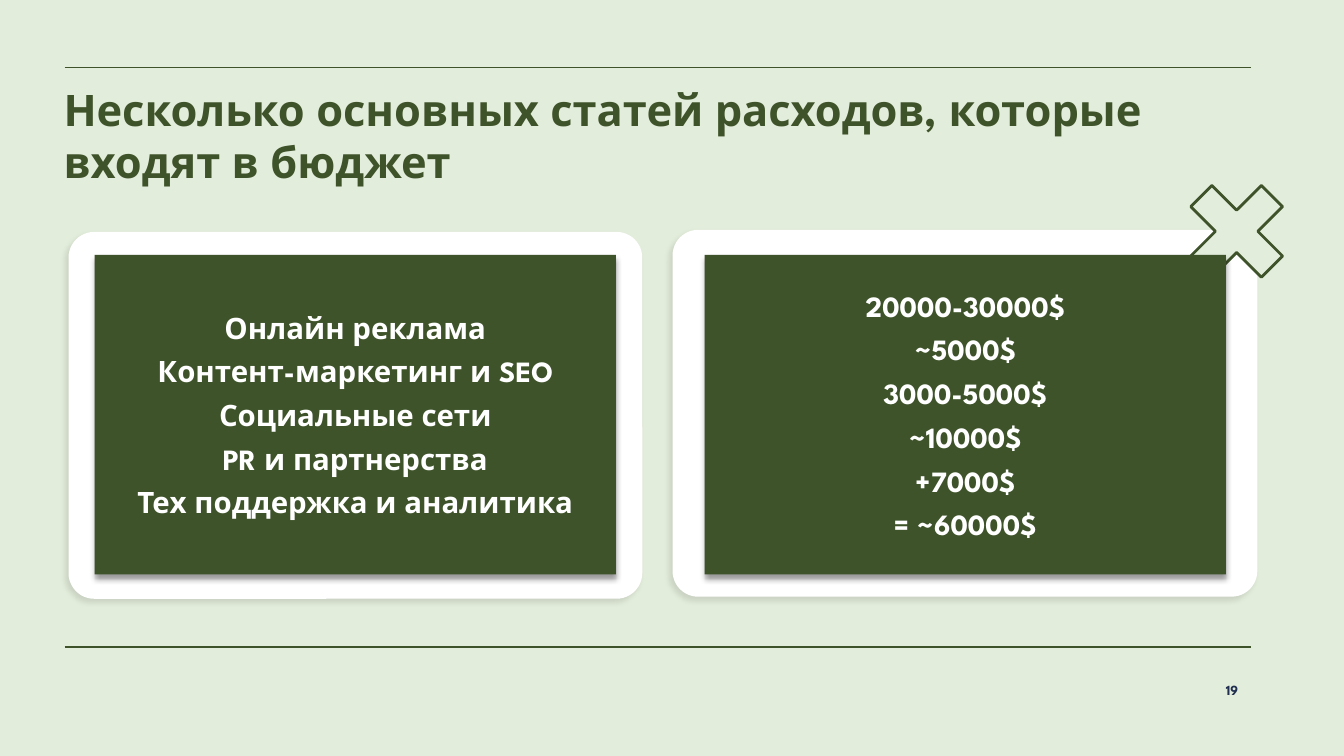
import pptx
import pptx.dml.color
import pptx.enum.shapes
import pptx.enum.text
import pptx.oxml
import pptx.oxml.ns
import pptx.oxml.xmlchemy
import pptx.util

RGBColor = pptx.dml.color.RGBColor
Shapes = pptx.enum.shapes.MSO_SHAPE
Align = pptx.enum.text.PP_ALIGN
Anchor = pptx.enum.text.MSO_ANCHOR

PALE = RGBColor(0xE3, 0xED, 0xDB)
GREEN = RGBColor(0x3E, 0x53, 0x2A)
WHITE = RGBColor(0xFF, 0xFF, 0xFF)
NAVY = RGBColor(0x21, 0x2F, 0x51)
FONT = "League Spartan"
WIDTH = pptx.util.Inches(13.33)
HEIGHT = pptx.util.Inches(7.5)

TITLE = "Несколько основных статей расходов, которые входят в бюджет"
EXPENSES = [
    "Онлайн реклама",
    "Контент-маркетинг и SEO",
    "Социальные сети",
    "PR и партнерства",
    "Тех поддержка и аналитика",
]
COSTS = ["20000-30000$", "~5000$", "3000-5000$", "~10000$", "+7000$", "= ~60000$"]


def across(percent):
    return round(WIDTH * percent / 100)


def down(percent):
    return round(HEIGHT * percent / 100)


def place(left, top, width, height):
    return across(left), down(top), across(width), down(height)


def add_block(page, kind, area, fill):
    block = page.shapes.add_shape(kind, *place(*area))
    block.shadow.inherit = False
    block.fill.solid()
    block.fill.fore_color.rgb = fill
    block.line.fill.background()
    return block


def cast_shadow(block, opacity, direction):
    effects = block._element.spPr.find(pptx.oxml.ns.qn("a:effectLst"))
    effects.append(pptx.oxml.parse_xml(
        f'<a:outerShdw {pptx.oxml.ns.nsdecls("a")} '
        f'blurRad="{pptx.util.Pt(4)}" dist="{pptx.util.Pt(3)}" '
        f'dir="{direction * 60000}" algn="ctr" rotWithShape="0">'
        f'<a:srgbClr val="000000"><a:alpha val="{opacity * 1000}"/></a:srgbClr>'
        '</a:outerShdw>'
    ))


def write(shape, lines, size, color, align, anchor, side=0.13):
    frame = shape.text_frame
    frame.word_wrap = True
    frame.vertical_anchor = anchor
    frame.margin_left = frame.margin_right = pptx.util.Inches(side)
    frame.margin_top = frame.margin_bottom = pptx.util.Inches(0.07)
    frame.text = "\n".join(lines)
    for para in frame.paragraphs:
        para.alignment = align
        for span in para.runs:
            span.font.name = FONT
            span.font.size = pptx.util.Pt(size)
            span.font.bold = True
            span.font.color.rgb = color


def add_label(page, area, text, size, color, align):
    box = page.shapes.add_textbox(*place(*area))
    write(box, [text], size, color, align, Anchor.BOTTOM)


def add_card(page, area):
    card = add_block(page, Shapes.ROUNDED_RECTANGLE, area, WHITE)
    card.adjustments[0] = 0.07
    cast_shadow(card, 10, 135)


def add_rule(page, top):
    rule = page.shapes.add_connector(
        pptx.enum.shapes.MSO_CONNECTOR.STRAIGHT,
        across(4.8), down(top), across(93.1), down(top),
    )
    rule.line.color.rgb = GREEN
    rule.line.width = pptx.util.Pt(1)
    rule._element.spPr.append(pptx.oxml.xmlchemy.OxmlElement("a:effectLst"))


def add_cross(page):
    cross = add_block(page, Shapes.CROSS, (88.3, 24, 7.43, 13.2), PALE)
    cross.adjustments[0] = 0.35
    cross.rotation = 45
    cross.line.color.rgb = GREEN
    cross.line.width = pptx.util.Pt(2)


def add_panel(page, left, lines):
    panel = add_block(page, Shapes.RECTANGLE, (left, 33.73, 38.78, 42.27), GREEN)
    cast_shadow(panel, 40, 90)
    write(panel, lines, 21, WHITE, Align.CENTER, Anchor.MIDDLE, side=0.4)
    paragraphs = panel.text_frame.paragraphs
    for para in paragraphs[1:]:
        para.space_before = pptx.util.Pt(6)
    paragraphs[-1].space_after = pptx.util.Pt(6)


def main():
    deck = pptx.Presentation()
    deck.slide_width = WIDTH
    deck.slide_height = HEIGHT
    page = deck.slides.add_slide(deck.slide_layouts[6])
    page.background.fill.solid()
    page.background.fill.fore_color.rgb = PALE

    add_card(page, (5.1, 30.67, 42.69, 48.53))
    add_card(page, (50.04, 30.4, 43.51, 48.53))
    for top in (85.6, 8.93):
        add_rule(page, top)
    add_cross(page)
    add_label(page, (3.75, 9.07, 88.3, 16.67), TITLE, 31, GREEN, Align.LEFT)
    add_panel(page, 7.05, EXPENSES)
    add_panel(page, 52.44, COSTS)
    add_label(page, (85.6, 90.27, 7.5, 3.07), "19", 10, NAVY, Align.RIGHT)

    deck.save("out.pptx")


if __name__ == "__main__":
    main()
